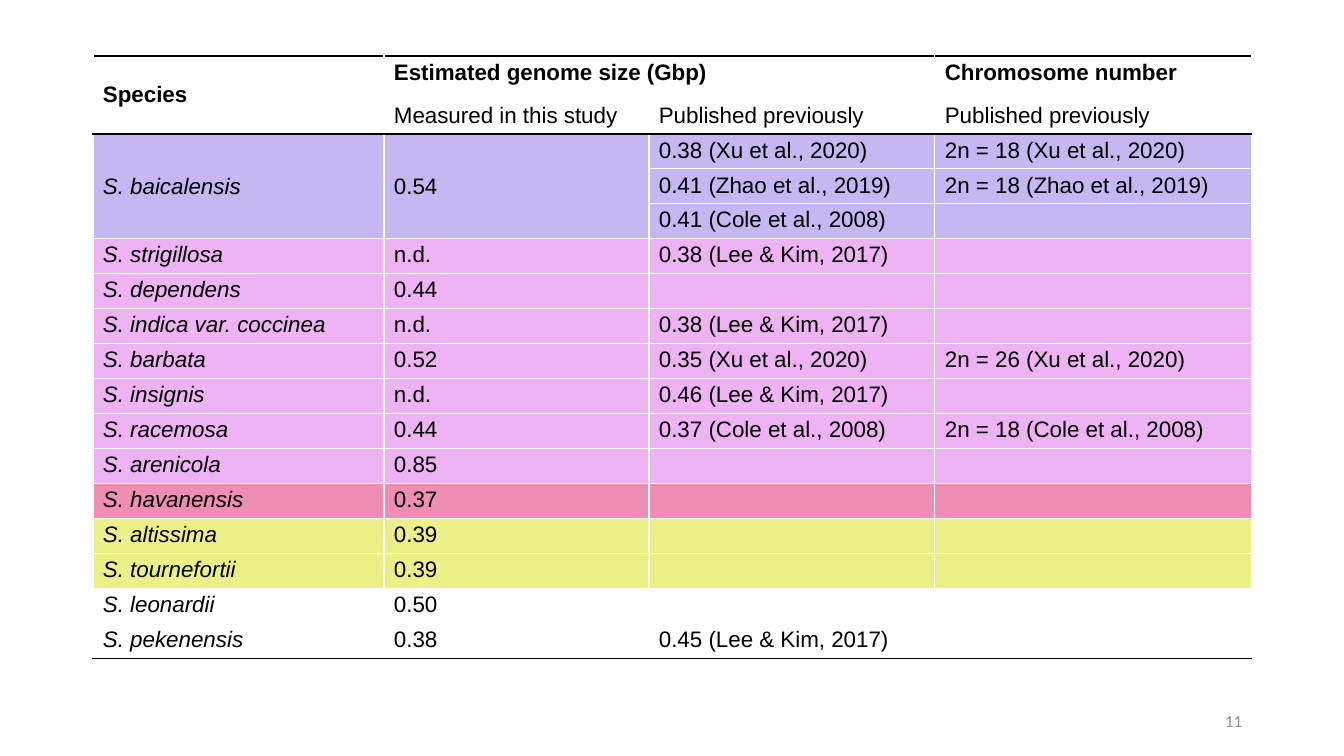
"""Build a slide with a table of genome sizes and chromosome numbers."""
from dataclasses import dataclass

from lxml import etree
from pptx import Presentation
from pptx.dml.color import RGBColor
from pptx.enum.text import MSO_ANCHOR, PP_ALIGN
from pptx.oxml.ns import qn
from pptx.util import Emu, Pt

MIDDLE, TOP = MSO_ANCHOR.MIDDLE, MSO_ANCHOR.TOP
LEFT, RIGHT = PP_ALIGN.LEFT, PP_ALIGN.RIGHT
SCALE = 914400 / 100.8
COLORS = {
    "white": "FFFFFF",
    "black": "000000",
    "gray": "8C8C8C",
    "violet": "C3B8F2",
    "pink": "EDB3F3",
    "rose": "EE8EB3",
    "lime": "ECF187",
}


@dataclass(frozen=True)
class Line:
    name: str
    size: str
    prior: str = ""
    count: str = ""
    tone: str = "white"
    head: bool = False


@dataclass(frozen=True)
class Span:
    row: int
    col: int
    rows: int
    cols: int


LINES = [
    Line("Species", "Estimated genome size (Gbp)", "", "Chromosome number", head=True),
    Line("", "Measured in this study", "Published previously", "Published previously"),
    Line("S. baicalensis", "0.54", "0.38 (Xu et al., 2020)", "2n = 18 (Xu et al., 2020)", "violet"),
    Line("", "", "0.41 (Zhao et al., 2019)", "2n = 18 (Zhao et al., 2019)", "violet"),
    Line("", "", "0.41 (Cole et al., 2008)", "", "violet"),
    Line("S. strigillosa", "n.d.", "0.38 (Lee & Kim, 2017)", "", "pink"),
    Line("S. dependens", "0.44", tone="pink"),
    Line("S. indica var. coccinea", "n.d.", "0.38 (Lee & Kim, 2017)", "", "pink"),
    Line("S. barbata", "0.52", "0.35 (Xu et al., 2020)", "2n = 26 (Xu et al., 2020)", "pink"),
    Line("S. insignis", "n.d.", "0.46 (Lee & Kim, 2017)", "", "pink"),
    Line("S. racemosa", "0.44", "0.37 (Cole et al., 2008)", "2n = 18 (Cole et al., 2008)", "pink"),
    Line("S. arenicola", "0.85", tone="pink"),
    Line("S. havanensis", "0.37", tone="rose"),
    Line("S. altissima", "0.39", tone="lime"),
    Line("S. tournefortii", "0.39", tone="lime"),
    Line("S. leonardii", "0.50"),
    Line("S. pekenensis", "0.38", "0.45 (Lee & Kim, 2017)"),
]
SPANS = [Span(0, 0, 2, 1), Span(0, 1, 1, 2), Span(2, 0, 3, 1), Span(2, 1, 3, 1)]
WIDTHS = [291, 265, 286, 317]
HEIGHTS = [43] + [35] * (len(LINES) - 1)
RULES = {0, 2, len(LINES)}


def px(value: int) -> Emu:
    return Emu(round(value * SCALE))


def color(name: str) -> RGBColor:
    return RGBColor.from_string(COLORS[name])


def write(frame, text: str, *, size: int = 16, font: str = "Arial", tone: str = "black",
          bold: bool = False, italic: bool = False, align=LEFT) -> None:
    para = frame.paragraphs[0]
    para.alignment = align
    if not text:
        etree.SubElement(para._p, qn("a:endParaRPr"), sz=str(size * 100))
        return
    run = para.add_run()
    run.text = text
    run.font.size, run.font.name = Pt(size), font
    run.font.bold, run.font.italic = bold, italic
    run.font.color.rgb = color(tone)


def edge(cell, side: str, tone: str) -> None:
    line = etree.SubElement(cell._tc.get_or_add_tcPr(), qn(f"a:ln{side}"), w=str(Pt(1)))
    fill = etree.SubElement(line, qn("a:solidFill"))
    etree.SubElement(fill, qn("a:srgbClr"), val=COLORS[tone])


def style(cell, row: int, tone: str) -> None:
    end = row + cell.span_height if cell.is_merge_origin else row + 1
    edge(cell, "L", "white")
    edge(cell, "R", "white")
    edge(cell, "T", "black" if row in RULES else "white")
    edge(cell, "B", "black" if end in RULES else "white")
    cell.fill.solid()
    cell.fill.fore_color.rgb = color(tone)
    cell.margin_left = cell.margin_right = px(10)
    cell.margin_top = cell.margin_bottom = px(4)
    cell.vertical_anchor = MIDDLE if cell.is_merge_origin and cell.span_height > 1 else TOP


def draw_table(slide) -> None:
    table = slide.shapes.add_table(len(LINES), len(WIDTHS), px(93), px(56),
                                   px(sum(WIDTHS)), px(sum(HEIGHTS))).table
    table.first_row = table.horz_banding = False
    for part, width in zip(table.columns, WIDTHS):
        part.width = px(width)
    for part, height in zip(table.rows, HEIGHTS):
        part.height = px(height)
    for span in SPANS:
        last = table.cell(span.row + span.rows - 1, span.col + span.cols - 1)
        table.cell(span.row, span.col).merge(last)
    for row, line in enumerate(LINES):
        for col, text in enumerate((line.name, line.size, line.prior, line.count)):
            cell = table.cell(row, col)
            style(cell, row, line.tone)
            write(cell.text_frame, text, bold=line.head, italic=col == 0 and not line.head)


def draw_page(slide) -> None:
    frame = slide.shapes.add_textbox(px(950), px(701), px(302), px(40)).text_frame
    frame.word_wrap = True
    frame.vertical_anchor = MIDDLE
    write(frame, "11", size=12, font="Calibri", tone="gray", align=RIGHT)


def main() -> None:
    deck = Presentation()
    deck.slide_width, deck.slide_height = px(1344), px(756)
    slide = deck.slides.add_slide(deck.slide_layouts[6])
    draw_page(slide)
    draw_table(slide)
    deck.save("out.pptx")


if __name__ == "__main__":
    main()
